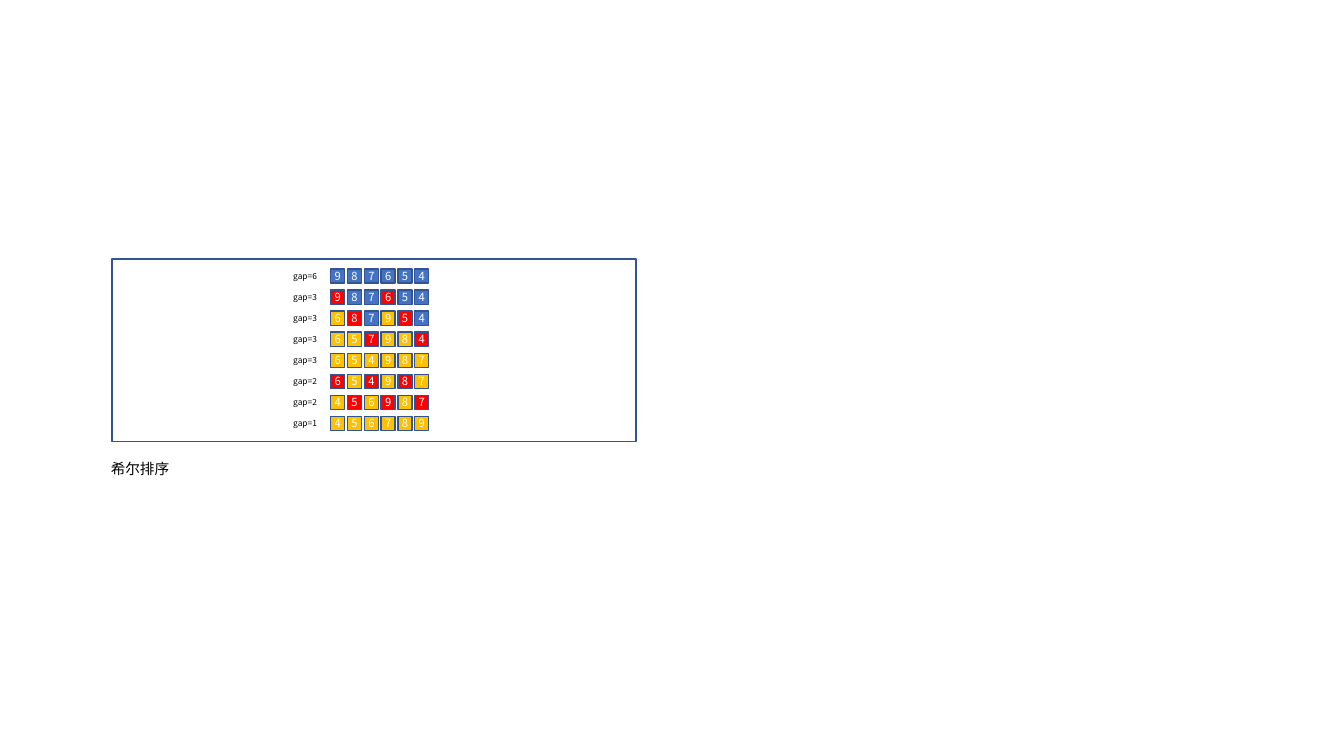
from dataclasses import dataclass

from lxml.etree import SubElement
from pptx import Presentation
from pptx.dml.color import RGBColor as RGB
from pptx.enum.shapes import MSO_SHAPE as SHAPE
from pptx.enum.text import MSO_ANCHOR as ANCHOR, MSO_AUTO_SIZE as AUTO, PP_ALIGN as ALIGN
from pptx.oxml.ns import qn
from pptx.util import Inches, Pt


@dataclass(frozen=True)
class Theme:
    font: str = "Noto Sans CJK SC"
    waiting: RGB = RGB(0x44, 0x72, 0xC4)
    compared: RGB = RGB(0xFF, 0x00, 0x00)
    placed: RGB = RGB(0xFF, 0xC0, 0x00)
    outline: RGB = RGB(0x32, 0x54, 0x91)
    digit: RGB = RGB(0xFF, 0xFF, 0xFF)
    text: RGB = RGB(0x00, 0x00, 0x00)
    digit_size: float = 8
    label_size: float = 6
    caption_size: float = 10.5
    line_width: float = 1


class Canvas:
    def __init__(self, slide, theme):
        self.s, self.theme = slide, theme

    def set_text(self, tf, text, size, color, align=ALIGN.LEFT):
        tf.text = text
        p = tf.paragraphs[0]
        p.alignment = align
        r = p.runs[0]
        r.font.size = Pt(size)
        r.font.color.rgb = color
        r.font.name = self.theme.font
        # East Asian glyphs take their own typeface
        SubElement(r._r.get_or_add_rPr(), qn("a:ea")).set("typeface", self.theme.font)

    def box(self, x, y, w, h, fill=None):
        sp = self.s.shapes.add_shape(SHAPE.RECTANGLE, Inches(x), Inches(y), Inches(w), Inches(h))
        sp.shadow.inherit = False
        if fill is None:
            sp.fill.background()
        else:
            sp.fill.solid()
            sp.fill.fore_color.rgb = fill
        sp.line.color.rgb = self.theme.outline
        sp.line.width = Pt(self.theme.line_width)
        return sp

    def cell(self, x, y, size, digit, fill):
        tf = self.box(x, y, size, size, fill).text_frame
        tf.margin_left = tf.margin_right = tf.margin_top = tf.margin_bottom = 0
        tf.vertical_anchor = ANCHOR.MIDDLE
        tf.word_wrap = False
        self.set_text(tf, digit, self.theme.digit_size, self.theme.digit, ALIGN.CENTER)

    def label(self, x, y, w, h, text, size):
        tf = self.s.shapes.add_textbox(Inches(x), Inches(y), Inches(w), Inches(h)).text_frame
        tf.word_wrap = False
        tf.auto_size = AUTO.SHAPE_TO_FIT_TEXT
        self.set_text(tf, text, size, self.theme.text)


# Each pass: gap, digits, and state of each digit
# (w = waiting, c = compared, p = placed)
PASSES = [
    (6, "987654", "wwwwww"),
    (3, "987654", "cwwcww"),
    (3, "687954", "pcwpcw"),
    (3, "657984", "ppcppc"),
    (3, "654987", "pppppp"),
    (2, "654987", "cpcpcp"),
    (2, "456987", "pcpcpc"),
    (1, "456789", "pppppp"),
]
LEFT, TOP = 3.28, 2.67
CELL = 0.14
COL_STEP, ROW_STEP = 1 / 6, 1.46 / 7
LABEL_LEFT, LABEL_RISE = 2.81, 0.03

prs = Presentation()
prs.slide_width, prs.slide_height = Inches(13.33), Inches(7.5)
theme = Theme()
canvas = Canvas(prs.slides.add_slide(prs.slide_layouts[6]), theme)
fills = {"w": theme.waiting, "c": theme.compared, "p": theme.placed}

# Frame around the sorting passes
canvas.box(1.11, 2.57, 5.2, 1.81)

# One labelled row of cells per pass
for row, (gap, digits, states) in enumerate(PASSES):
    y = TOP + row * ROW_STEP
    canvas.label(LABEL_LEFT, y - LABEL_RISE, 0.44, 0.2, f"gap={gap}", theme.label_size)
    for col, (digit, state) in enumerate(zip(digits, states)):
        canvas.cell(LEFT + col * COL_STEP, y, CELL, digit, fills[state])

# Caption
canvas.label(1, 4.51, 0.82, 0.29, "希尔排序", theme.caption_size)

prs.save("out.pptx")
